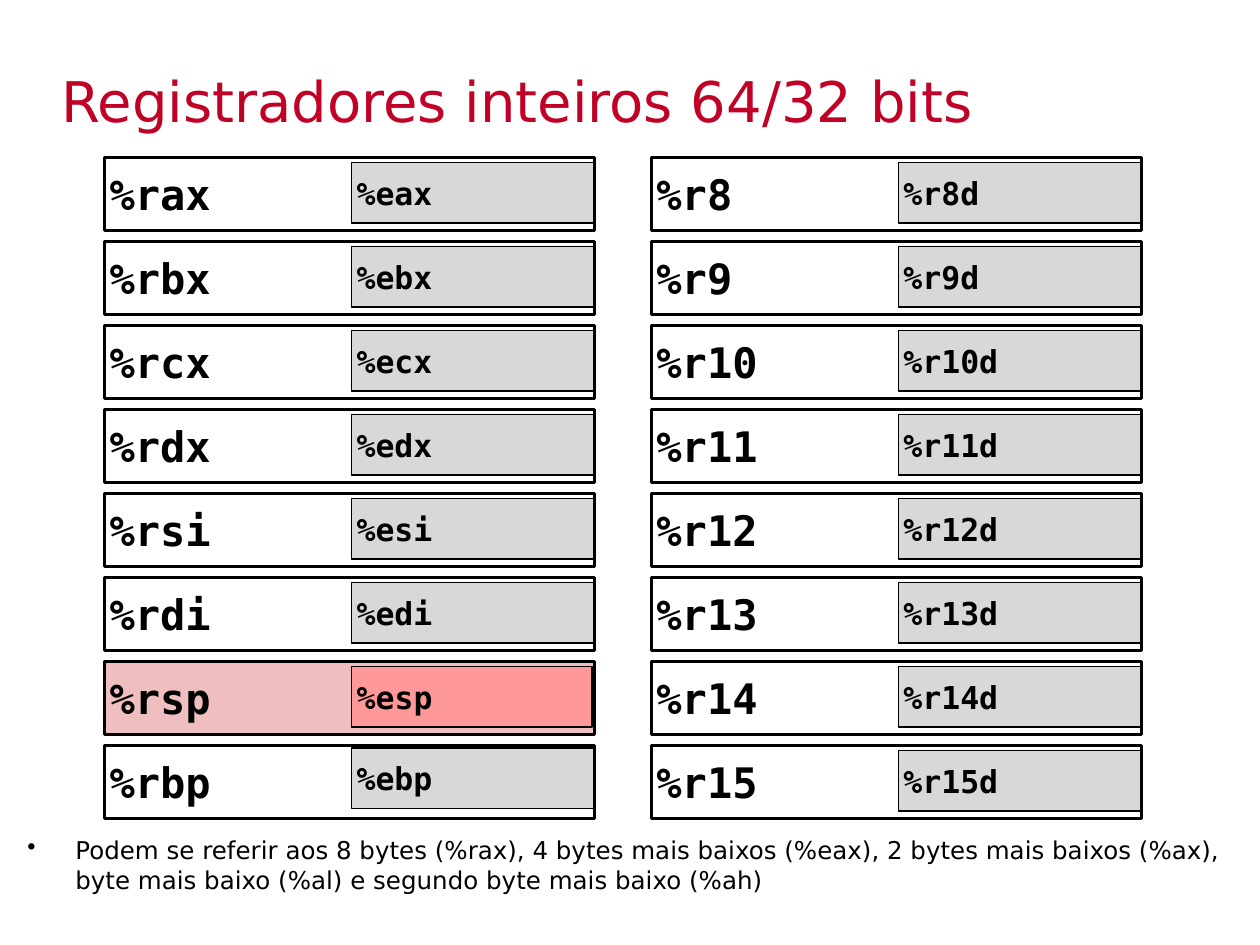
from dataclasses import dataclass

from lxml import etree
from pptx import Presentation
from pptx.dml.color import RGBColor
from pptx.enum.shapes import MSO_SHAPE
from pptx.enum.text import MSO_ANCHOR, PP_ALIGN
from pptx.oxml.ns import qn
from pptx.util import Inches, Pt

RECT = MSO_SHAPE.RECTANGLE
TOP, MIDDLE = MSO_ANCHOR.TOP, MSO_ANCHOR.MIDDLE
LEFT = PP_ALIGN.LEFT


@dataclass(frozen=True)
class Theme:
    sans: str = "DejaVu Sans"
    mono: str = "DejaVu Sans Mono"
    black: str = "000000"
    red: str = "C00026"
    low_fill: str = "D8D8D8"
    stack_fill: str = "EFBFBF"
    stack_low_fill: str = "FF9999"
    title_size: float = 32
    register_size: float = 24
    low_size: float = 18
    note_size: float = 14


THEME = Theme()

# Full register and its low 32 bits, one list per column
LEGACY = [(f"%r{name}", f"%e{name}")
          for name in ("ax", "bx", "cx", "dx", "si", "di", "sp", "bp")]
EXTENDED = [(f"%r{n}", f"%r{n}d") for n in range(8, 16)]
STACK_POINTER = "%rsp"

ROW_PITCH = 2 / 3
ROW_HEIGHT = 0.58


def put_text(sp, text, size, font=THEME.sans, color=THEME.black, bold=False,
             anchor=TOP, insets=(0.1, 0.05), indent=0, bullet=None):
    tf = sp.text_frame
    tf.word_wrap = True
    tf.vertical_anchor = anchor
    tf.margin_left = tf.margin_right = Inches(insets[0])
    tf.margin_top = tf.margin_bottom = Inches(insets[1])
    p = tf.paragraphs[0]
    p.alignment = LEFT
    if indent:
        pPr = p._p.get_or_add_pPr()
        pPr.set("marL", str(Inches(indent)))
        pPr.set("indent", str(-Inches(indent)))
        if bullet:
            etree.SubElement(pPr, qn("a:buChar")).set("char", bullet)
    r = p.add_run()
    r.text = text
    r.font.name = font
    r.font.size = Pt(size)
    r.font.bold = bold
    r.font.color.rgb = RGBColor.from_string(color)


def add_text(slide, box, text, size, **fmt):
    sp = slide.shapes.add_textbox(*map(Inches, box))
    put_text(sp, text, size, **fmt)


def add_cell(slide, box, text, size, fill, line_width):
    sp = slide.shapes.add_shape(RECT, *map(Inches, box))
    sp.shadow.inherit = False
    if fill:
        sp.fill.solid()
        sp.fill.fore_color.rgb = RGBColor.from_string(fill)
    else:
        sp.fill.background()
    sp.line.color.rgb = RGBColor.from_string(THEME.black)
    sp.line.width = Pt(line_width)
    put_text(sp, text, size, font=THEME.mono, bold=True, anchor=MIDDLE,
             insets=(0.04, 0.04))


def add_register(slide, box, name, low_name):
    left, top, width, height = box
    is_stack = name == STACK_POINTER
    low_width = 1.91 if is_stack else 1.93
    low_top = top + (0.02 if name == "%rbp" else 0.04)
    low_box = (left + 1.96, low_top, low_width, height - 0.1)
    full = (box, name, THEME.register_size,
            THEME.stack_fill if is_stack else None, 2)
    low = (low_box, low_name, THEME.low_size,
           THEME.stack_low_fill if is_stack else THEME.low_fill,
           1 if is_stack else 0.75)
    # A filled frame goes behind its low half, an open one in front
    for cell in (full, low) if is_stack else (low, full):
        add_cell(slide, *cell)


def add_register_column(slide, left, top, width, registers):
    for row, (name, low_name) in enumerate(registers):
        box = (left, top + row * ROW_PITCH, width, ROW_HEIGHT)
        add_register(slide, box, name, low_name)


def main():
    prs = Presentation()
    prs.slide_width, prs.slide_height = Inches(10), Inches(7.5)
    slide = prs.slides.add_slide(prs.slide_layouts[6])

    # Title
    add_text(slide, (0.39, 0.48, 8.3, 0.83),
             "Registradores inteiros 64/32 bits", THEME.title_size,
             color=THEME.red, indent=0.13)

    # Register columns
    add_register_column(slide, 0.83, 1.25, 3.89, LEGACY)
    add_register_column(slide, 5.17, 1.25, 3.89, EXTENDED)

    # Note
    add_text(slide, (0.12, 6.58, 9.76, 0.91),
             "Podem se referir aos 8 bytes (%rax), 4 bytes mais baixos (%eax), "
             "2 bytes mais baixos (%ax), byte mais baixo (%al) e segundo byte "
             "mais baixo (%ah)", THEME.note_size, indent=0.38, bullet="•")

    prs.save("out.pptx")


if __name__ == "__main__":
    main()
